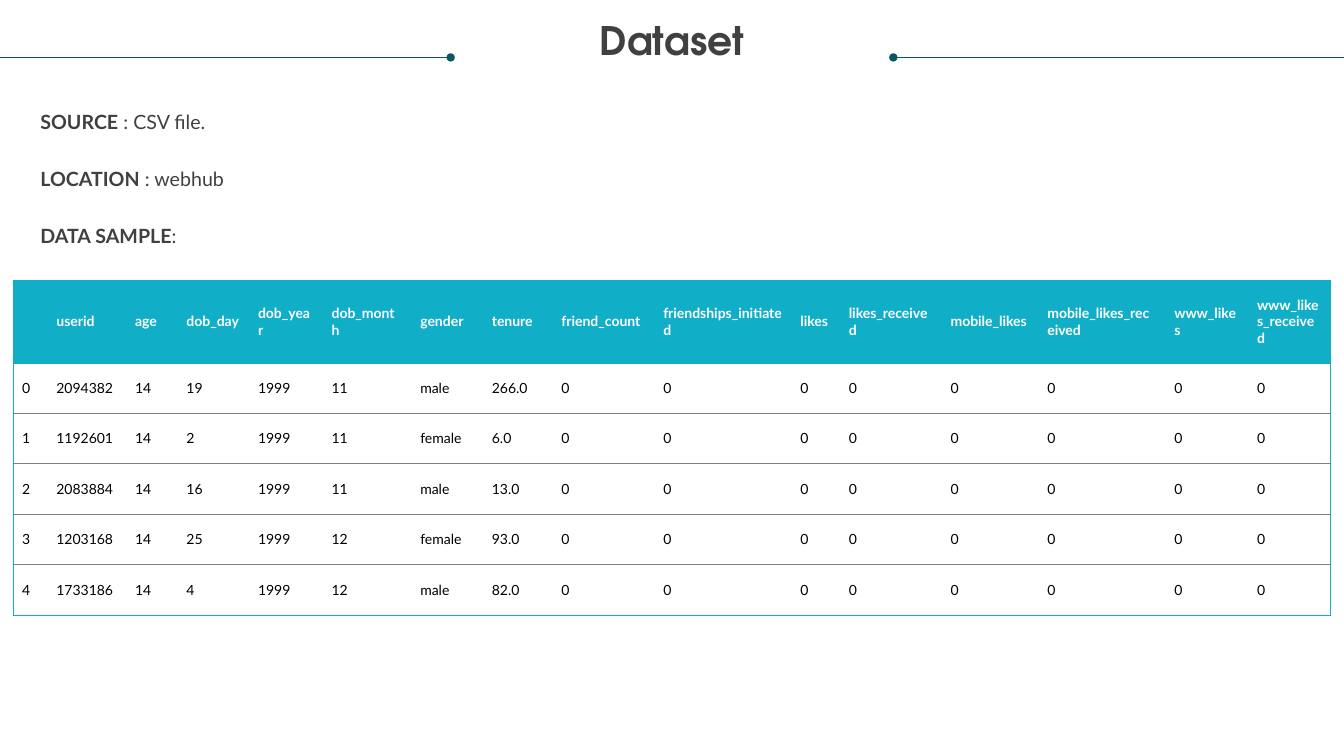
from pptx import Presentation
from pptx.dml.color import RGBColor
from pptx.enum.shapes import MSO_CONNECTOR
from pptx.enum.text import MSO_ANCHOR, PP_ALIGN
from pptx.oxml.xmlchemy import OxmlElement
from pptx.util import Inches, Pt

# Content
TITLE = "Dataset"
FACTS = [("SOURCE", " : CSV file."), ("LOCATION", " : webhub"), ("DATA SAMPLE", ":")]
COLS = [  # heading, width
    ("", 0.34), ("userid", 0.78), ("age", 0.51), ("dob_day", 0.71),
    ("dob_year", 0.73), ("dob_month", 0.88), ("gender", 0.71), ("tenure", 0.69),
    ("friend_count", 1.01), ("friendships_initiated", 1.36), ("likes", 0.48),
    ("likes_received", 1.01), ("mobile_likes", 0.96),
    ("mobile_likes_received", 1.26), ("www_likes", 0.82),
    ("www_likes_received", 0.82),
]
USERS = [  # index to tenure; the eight counts that follow are all zero
    ("0", "2094382", "14", "19", "1999", "11", "male", "266.0"),
    ("1", "1192601", "14", "2", "1999", "11", "female", "6.0"),
    ("2", "2083884", "14", "16", "1999", "11", "male", "13.0"),
    ("3", "1203168", "14", "25", "1999", "12", "female", "93.0"),
    ("4", "1733186", "14", "4", "1999", "12", "male", "82.0"),
]
THEME = {
    "head": "TeX Gyre Adventor", "body": "Lato",
    "ink": "404040", "rule": "085764", "teal": "11AEC7", "grid": "7F7F7F",
    "white": "FFFFFF", "black": "000000",
    "title": 28, "fact": 14, "cell": 10, "line": 0.5,
}
WIDE, HIGH = 13.33, 7.5
RULE_Y, RULE_LEN = 0.57, 4.47
FACT_TOP, FACT_STEP = 1.06, 0.565
HEAD_H, ROW_H = 0.82, 0.5


def style(font, face, size, color, bold=False):
    font.name, font.size, font.bold = THEME[face], Pt(THEME[size]), bold
    font.color.rgb = RGBColor.from_string(THEME[color])


def add_text(slide, x, y, w, h):
    frame = slide.shapes.add_textbox(Inches(x), Inches(y), Inches(w), Inches(h)).text_frame
    frame.word_wrap = True
    frame.margin_left = frame.margin_right = frame.margin_top = frame.margin_bottom = 0
    return frame.paragraphs[0]


def add_rule(slide, edge, tip):
    """Line from the slide's edge to a round tip."""
    rule = slide.shapes.add_connector(
        MSO_CONNECTOR.STRAIGHT, Inches(edge), Inches(RULE_Y), Inches(tip), Inches(RULE_Y))
    rule.line.color.rgb = RGBColor.from_string(THEME["rule"])
    rule.line.width = Pt(THEME["line"])
    dot = OxmlElement("a:tailEnd")
    dot.set("type", "oval")
    rule.line._get_or_add_ln().append(dot)
    rule._element.spPr.append(OxmlElement("a:effectLst"))


def add_edge(cell, side, color):
    edge = OxmlElement(f"a:ln{side}")
    edge.set("w", str(Pt(THEME["line"])))
    if color:
        fill, tint = OxmlElement("a:solidFill"), OxmlElement("a:srgbClr")
        tint.set("val", THEME[color])
        fill.append(tint)
    else:
        fill = OxmlElement("a:noFill")
    edge.append(fill)
    cell._tc.get_or_add_tcPr().append(edge)


def add_sample(slide):
    zeros = ("0",) * (len(COLS) - len(USERS[0]))
    rows = [[name for name, _ in COLS]] + [user + zeros for user in USERS]
    last, end = len(rows) - 1, len(COLS) - 1
    table = slide.shapes.add_table(
        len(rows), len(COLS), Inches(0.13), Inches(2.78),
        Inches(sum(w for _, w in COLS)), Inches(HEAD_H + ROW_H * last)).table
    table.horz_banding = False
    for col, (_, width) in zip(table.columns, COLS):
        col.width = Inches(width)
    for r, row in enumerate(rows):
        table.rows[r].height = Inches(ROW_H if r else HEAD_H)
        for c, text in enumerate(row):
            cell = table.cell(r, c)
            cell.text_frame.text = text
            cell.vertical_anchor = MSO_ANCHOR.MIDDLE
            cell.margin_left = cell.margin_right = Inches(0.09)
            style(cell.text_frame.paragraphs[0].font, "body", "cell",
                  "black" if r else "white", r == 0)
            # Teal frame, grey lines between users, no inner columns
            add_edge(cell, "L", None if c else "teal")
            add_edge(cell, "R", "teal" if c == end else None)
            add_edge(cell, "T", "grid" if r > 1 else "teal")
            add_edge(cell, "B", "teal" if r in (0, last) else "grid")
            cell.fill.solid()
            cell.fill.fore_color.rgb = RGBColor.from_string(THEME["white" if r else "teal"])


def main():
    deck = Presentation()
    deck.slide_width, deck.slide_height = Inches(WIDE), Inches(HIGH)
    slide = deck.slides.add_slide(deck.slide_layouts[6])

    # Title between two rules
    add_rule(slide, WIDE, WIDE - RULE_LEN)
    para = add_text(slide, 0.25, 0.21, 12.83, 0.85)
    para.text = TITLE
    para.alignment, para.line_spacing = PP_ALIGN.CENTER, 0.9
    style(para.runs[0].font, "head", "title", "ink", True)
    add_rule(slide, 0, RULE_LEN)

    # Facts about the data
    for i, fact in enumerate(FACTS):
        para = add_text(slide, 0.4, FACT_TOP + FACT_STEP * i, 7.88, 0.24)
        para.line_spacing = Pt(19)
        for part, bold in zip(fact, (True, False)):
            run = para.add_run()
            run.text = part
            style(run.font, "body", "fact", "ink", bold)

    # Sample table
    add_sample(slide)
    deck.save("out.pptx")


if __name__ == "__main__":
    main()
